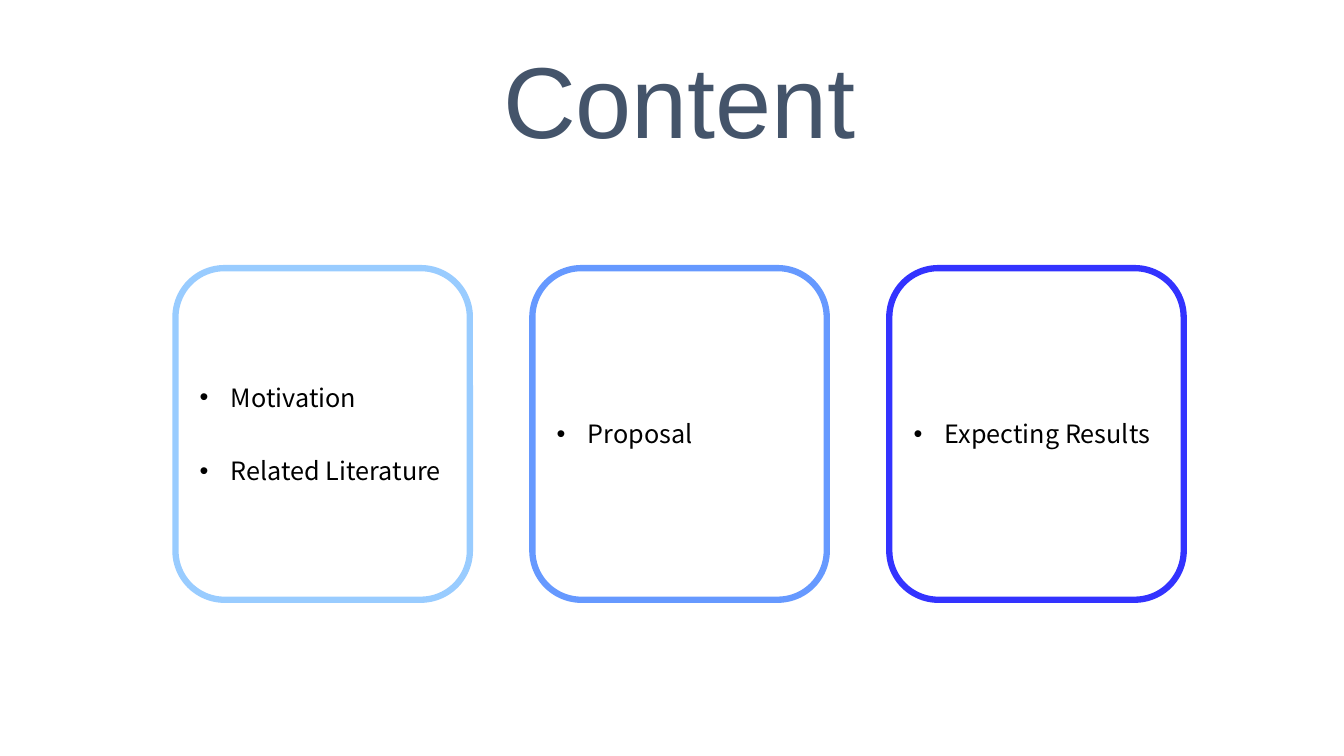
from dataclasses import dataclass

from lxml import etree
from pptx import Presentation
from pptx.dml.color import RGBColor
from pptx.enum.shapes import MSO_SHAPE
from pptx.enum.text import MSO_ANCHOR, MSO_AUTO_SIZE, PP_ALIGN
from pptx.oxml.ns import qn
from pptx.util import Inches, Pt

ROUNDED = MSO_SHAPE.ROUNDED_RECTANGLE
TOP, MIDDLE = MSO_ANCHOR.TOP, MSO_ANCHOR.MIDDLE
CENTER, JUSTIFY = PP_ALIGN.CENTER, PP_ALIGN.JUSTIFY
NO_AUTOFIT = MSO_AUTO_SIZE.NONE

# Card grid, in inches
GRID_LEFT, GRID_TOP = 1.74, 2.66
CARD_WIDTH, CARD_HEIGHT = 2.92, 3.29
CARD_GAP = 0.62
BULLET_INDENT = 0.31
TITLE_LEFT, TITLE_TOP, TITLE_WIDTH, TITLE_HEIGHT = 3.79, 0.51, 5.9, 1.62


@dataclass(frozen=True)
class Card:
    outline: str
    topics: tuple[str, ...]


CARDS = (
    Card("99CCFF", ("Motivation", "Related Literature")),
    Card("6699FF", ("Proposal",)),
    Card("3333FF", ("Expecting Results",)),
)


def color(hex_code: str) -> RGBColor:
    return RGBColor.from_string(hex_code)


def format_spans(para, font_name: str, size: float, hex_code: str) -> None:
    for span in para.runs:
        span.font.name = font_name
        span.font.size = Pt(size)
        span.font.color.rgb = color(hex_code)


def add_bullet(para) -> None:
    properties = para._p.get_or_add_pPr()
    indent = Inches(BULLET_INDENT)
    properties.set("marL", str(indent))
    properties.set("indent", str(-indent))
    etree.SubElement(properties, qn("a:buFont")).set("typeface", "Arial")
    etree.SubElement(properties, qn("a:buChar")).set("char", "•")


def set_title(page, text: str) -> None:
    title = page.shapes.title
    title.left, title.top = Inches(TITLE_LEFT), Inches(TITLE_TOP)
    title.width, title.height = Inches(TITLE_WIDTH), Inches(TITLE_HEIGHT)
    frame = title.text_frame
    frame.text = text
    frame.auto_size = NO_AUTOFIT
    frame.vertical_anchor = TOP
    frame.margin_top = 0
    para = frame.paragraphs[0]
    para.alignment = CENTER
    para.line_spacing = 0.9
    para.space_before = Pt(10)
    format_spans(para, "Arial", 72, "44546A")


def draw_card(page, card: Card, column: int) -> None:
    left = GRID_LEFT + column * (CARD_WIDTH + CARD_GAP)
    box = page.shapes.add_shape(
        ROUNDED, Inches(left), Inches(GRID_TOP), Inches(CARD_WIDTH), Inches(CARD_HEIGHT)
    )
    box.shadow.inherit = False
    box.fill.background()
    box.line.color.rgb = color(card.outline)
    box.line.width = Pt(4.5)

    # Bulleted topics
    frame = box.text_frame
    frame.word_wrap = True
    frame.vertical_anchor = MIDDLE
    frame.text = "\n".join(card.topics)
    for index, para in enumerate(frame.paragraphs):
        para.alignment = JUSTIFY
        if index:
            para.space_before = Pt(31)
        add_bullet(para)
        format_spans(para, "Noto Sans CJK KR", 18, "000000")


def main() -> None:
    deck = Presentation()
    deck.slide_width, deck.slide_height = Inches(13.33), Inches(7.5)
    title_only = deck.slide_layouts.get_by_name("Title Only")
    page = deck.slides.add_slide(title_only)

    set_title(page, "Content")
    for column, card in enumerate(CARDS):
        draw_card(page, card, column)

    deck.save("out.pptx")


if __name__ == "__main__":
    main()
